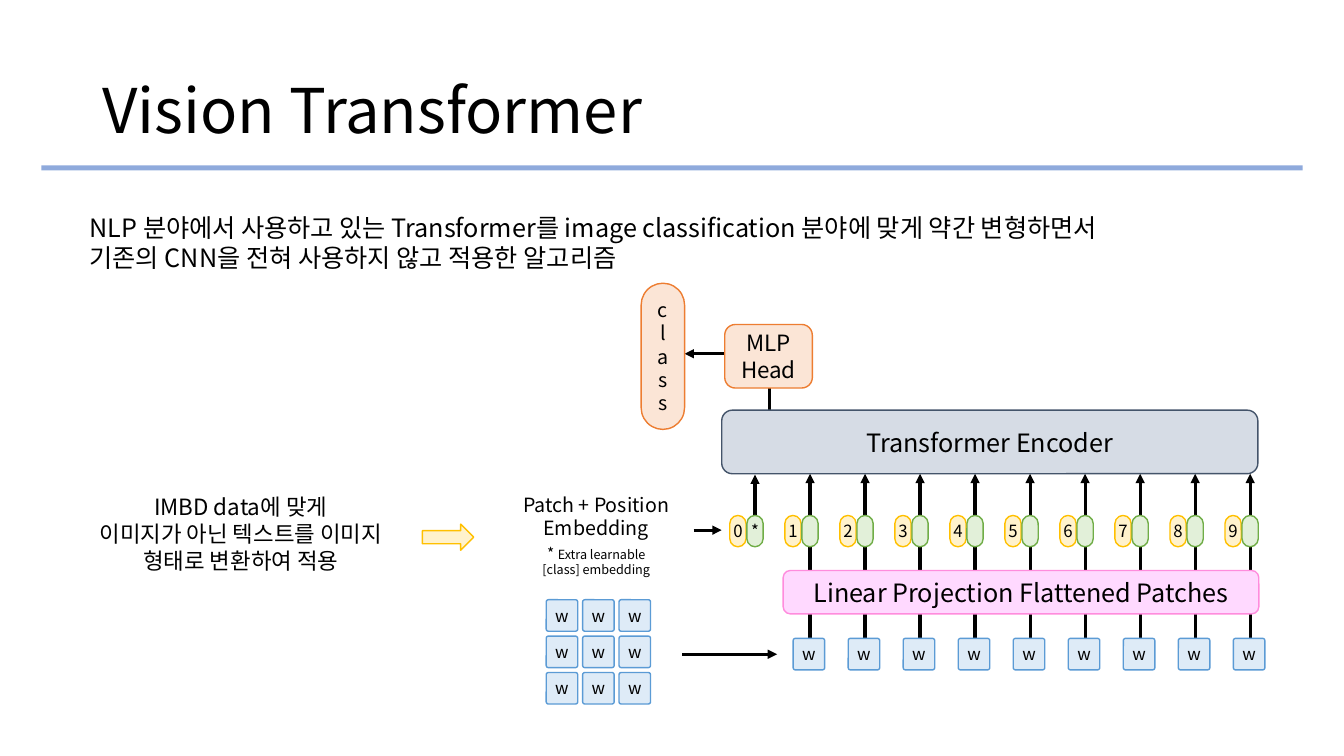
from lxml.etree import SubElement
from pptx import Presentation
from pptx.dml.color import RGBColor
from pptx.enum.shapes import MSO_CONNECTOR, MSO_SHAPE
from pptx.enum.text import MSO_ANCHOR, PP_ALIGN
from pptx.oxml.ns import qn
from pptx.util import Pt

FONT = "Noto Sans CJK KR"
BLACK = RGBColor(0x00, 0x00, 0x00)
RULE_BLUE = RGBColor(0x8F, 0xAA, 0xDC)
PEACH, ORANGE = RGBColor(0xFB, 0xE5, 0xD6), RGBColor(0xED, 0x7D, 0x31)
GREY, SLATE = RGBColor(0xD6, 0xDC, 0xE5), RGBColor(0x44, 0x54, 0x6A)
CREAM, GOLD = RGBColor(0xFF, 0xF2, 0xCC), RGBColor(0xFF, 0xC0, 0x00)
MINT, GREEN = RGBColor(0xE2, 0xF0, 0xD9), RGBColor(0x70, 0xAD, 0x47)
PINK, ROSE = RGBColor(0xFF, 0xD9, 0xFF), RGBColor(0xFF, 0x8C, 0xDD)
PALE_BLUE, BLUE = RGBColor(0xDE, 0xEB, 0xF7), RGBColor(0x5B, 0x9B, 0xD5)

prs = Presentation()
prs.slide_width, prs.slide_height = Pt(960), Pt(540)
s = prs.slides.add_slide(prs.slide_layouts[5])


def write(sp, lines, size, align=PP_ALIGN.CENTER, pitch=None):
    """Fill a shape with paragraphs, given as text or (text, size)."""
    tf = sp.text_frame
    tf.word_wrap = True
    for i, line in enumerate(lines):
        text, pt = line if isinstance(line, tuple) else (line, size)
        p = tf.paragraphs[0] if i == 0 else tf.add_paragraph()
        p.text = text
        p.alignment = align
        if pitch:
            p.line_spacing = Pt(round(pt * pitch, 1))
        p.font.size, p.font.name = Pt(pt), FONT
        p.font.color.rgb = BLACK
        SubElement(p._p.pPr.find(qn("a:defRPr")), qn("a:ea"), typeface=FONT)
    return tf


def box(x, y, w, h, fill, line=None, kind=MSO_SHAPE.ROUNDED_RECTANGLE, adj=None):
    sp = s.shapes.add_shape(kind, Pt(x), Pt(y), Pt(w), Pt(h))
    sp.shadow.inherit = False
    sp.fill.solid()
    sp.fill.fore_color.rgb = fill
    if line is None:
        sp.line.fill.background()
    else:
        sp.line.color.rgb, sp.line.width = line, Pt(1)
    if adj is not None:
        sp.adjustments[0] = adj
    sp.text_frame.vertical_anchor = MSO_ANCHOR.MIDDLE
    return sp


# Title and rule
title = s.shapes.title
title.left, title.top, title.width, title.height = Pt(66), Pt(28.8), Pt(828), Pt(104.4)
tf = write(title, ["Vision Transformer"], 44, PP_ALIGN.LEFT)
tf.vertical_anchor = MSO_ANCHOR.MIDDLE
tf.paragraphs[0].line_spacing = 0.9
box(29.5, 118.2, 901, 3.6, RULE_BLUE, kind=MSO_SHAPE.RECTANGLE)

# Lines and arrows: from x, y to x, y, arrowhead
columns = [539.3 + 39.3 * i for i in range(10)]
links = [(columns[0], 368, columns[0], 339, True)]
links += [(x, 456, x, 338.4, True) for x in columns[1:]]
links += [
    (549.4, 277, 549.4, 294, False),
    (517, 252.7, 489, 252.7, True),
    (495.4, 378.7, 515.5, 378.7, True),
    (487.4, 467.3, 555.1, 467.3, True),
]
for x1, y1, x2, y2, head in links:
    c = s.shapes.add_connector(MSO_CONNECTOR.STRAIGHT, Pt(x1), Pt(y1), Pt(x2), Pt(y2))
    c.line.color.rgb, c.line.width = BLACK, Pt(2.25)
    if head:
        SubElement(c.line._get_or_add_ln(), qn("a:tailEnd"), type="triangle")
    SubElement(c._element.spPr, qn("a:effectLst"))

# Encoder, head and class output
write(box(517.7, 231.8, 62.6, 45.4, PEACH, ORANGE), ["MLP", "Head"], 16, pitch=1.19)
write(box(515.5, 293, 383, 45.4, GREY, SLATE), ["Transformer Encoder"], 18)
write(box(458, 202.3, 31, 104.4, PEACH, ORANGE, adj=0.5), ["class"], 14, pitch=1.19)

# Position and patch embeddings
for i, x in enumerate(columns):
    pills = [(x - 18, str(i), CREAM, GOLD), (x - 5.8, "*" if i == 0 else "", MINT, GREEN)]
    for left, text, fill, line in pills:
        sp = box(left, 368.2, 11.6, 22.4, fill, line, adj=0.5)
        if text:
            tf = write(sp, [text], 12)
            tf.margin_left = tf.margin_right = tf.margin_top = tf.margin_bottom = 0
            tf.word_wrap = False

# Linear projection
write(box(559.4, 407.5, 339.8, 31, PINK, ROSE), ["Linear Projection Flattened Patches"], 18)

# Patches: 3 x 3 grid, then the flattened row
patches = [(390.2 + 26 * c, 428.4 + 26 * r) for r in range(3) for c in range(3)]
patches += [(x - 12, 456) for x in columns[1:]]
for x, y in patches:
    tf = write(box(x, y, 22.5, 22.5, PALE_BLUE, BLUE, adj=0.07), ["w"], 12)
    tf.margin_left = tf.margin_right = tf.margin_top = tf.margin_bottom = 0

# Embedding caption
tb = s.shapes.add_textbox(Pt(347.8), Pt(348.5), Pt(156.2), Pt(69))
tf = write(tb, ["Patch + Position", "Embedding", ("", 11), ("[class] embedding", 9)], 14, pitch=1.19)
note = tf.paragraphs[2]
note.space_before = Pt(3)
for text, size in [("* ", 11), ("Extra learnable", 9)]:
    r = note.add_run()
    r.text, r.font.size = text, Pt(size)

# Description
tb = s.shapes.add_textbox(Pt(56.9), Pt(148.3), Pt(837.4), Pt(51.1))
write(tb, [
    "NLP 분야에서 사용하고 있는 Transformer를 image classification 분야에 맞게 약간 변형하면서",
    "기존의 CNN을 전혀 사용하지 않고 적용한 알고리즘",
], 18, PP_ALIGN.LEFT, pitch=1.19)

# Text data note and arrow
box(301.7, 374.4, 36.7, 18.7, CREAM, GOLD, kind=MSO_SHAPE.RIGHT_ARROW)
tb = s.shapes.add_textbox(Pt(59), Pt(349.2), Pt(226), Pt(65.5))
write(tb, ["IMBD data에 맞게", "이미지가 아닌 텍스트를 이미지 형태로 변환하여 적용"], 16, pitch=1.19)

prs.save("out.pptx")
